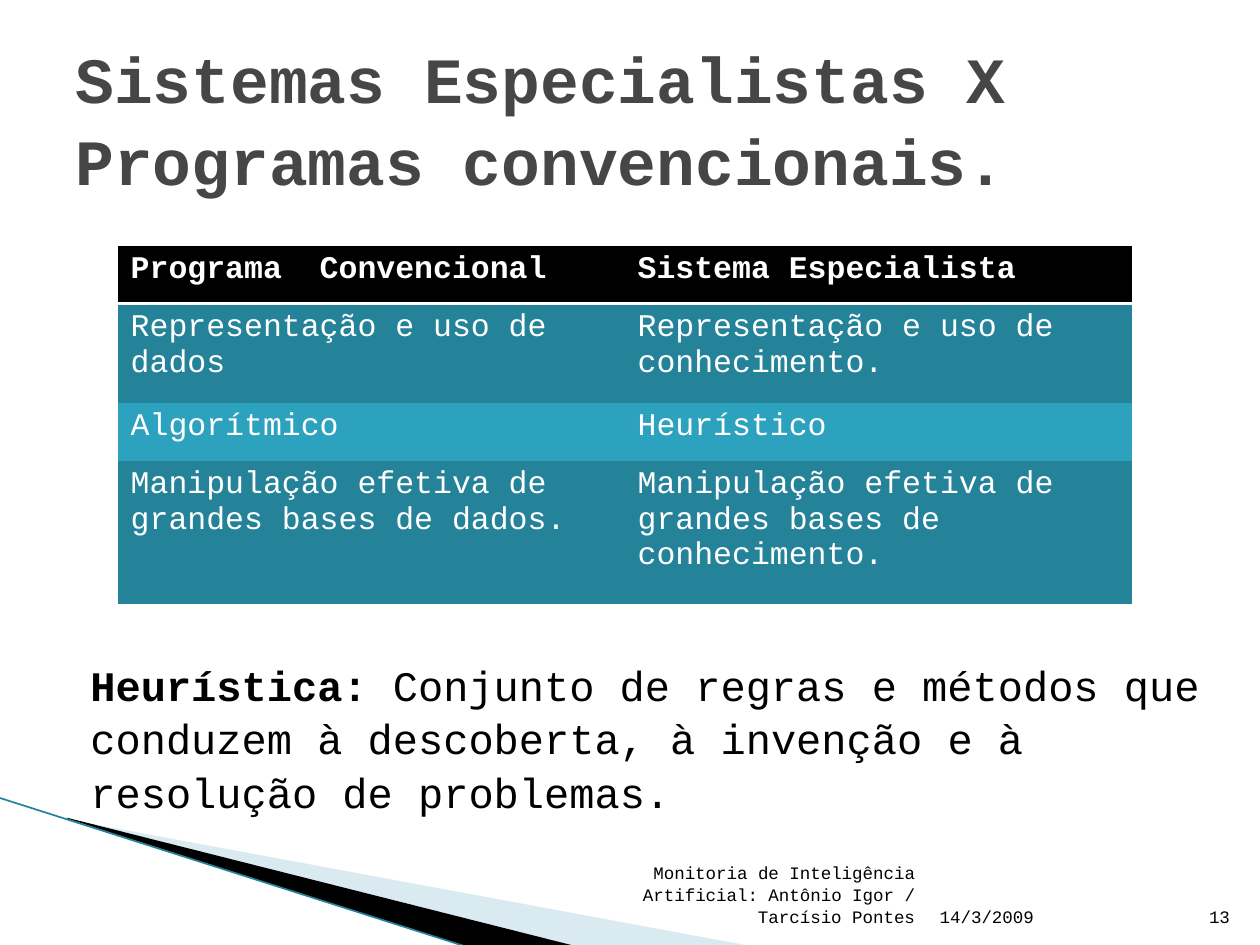
"""Build the slide comparing expert systems with conventional programs."""
from lxml import etree
from pptx import Presentation, util as u
from pptx.dml.color import RGBColor
from pptx.enum import shapes, text
from pptx.oxml import ns

Pt = u.Pt
FONT = "Courier New"
BLACK = RGBColor(0, 0, 0)
WHITE = RGBColor(255, 255, 255)
GRAY = RGBColor(0x46, 0x46, 0x46)
PALE = RGBColor(0xA0, 0xCB, 0xDC)
TEAL = RGBColor(0x24, 0x82, 0x99)
AQUA = RGBColor(0x2D, 0xA2, 0xBF)
LEFT, RIGHT = text.PP_ALIGN.LEFT, text.PP_ALIGN.RIGHT
TOP, MIDDLE, BOTTOM = text.MSO_ANCHOR.TOP, text.MSO_ANCHOR.MIDDLE, text.MSO_ANCHOR.BOTTOM

WEDGES = [
    (PALE, 40, [(39.6, 468.5), (428.4, 540.5), (328.3, 540.5), (39.6, 468)]),
    (BLACK, 100, [(38.2, 467.3), (329, 540.7), (267.8, 541.4), (38.9, 468)]),
]
EDGE = (-0.7, 455.8, 267.8, 541.4)
TEXTS = [
    ((36, 21.6, 648, 90), [("Sistemas Especialistas X Programas convencionais.", True)],
     36.9, GRAY, LEFT, MIDDLE),
    ((44.6, 371.5, 652.3, 94.3),
     [("Heurística: ", True),
      ("Conjunto de regras e métodos que conduzem à descoberta, à invenção e à "
       "resolução de problemas.", False)], 24, BLACK, LEFT, TOP),
    ((529.9, 504.7, 151.2, 28.8), [("14/3/2009", False)], 10, BLACK, LEFT, BOTTOM),
    ((681.1, 504.7, 28.8, 28.8), [("13", False)], 10, BLACK, RIGHT, BOTTOM),
    ((344.9, 504.7, 185, 28.8),
     [("Monitoria de Inteligência Artificial: Antônio Igor / Tarcísio Pontes", False)],
     10, BLACK, RIGHT, BOTTOM),
]
TABLE_BOX = (67.5, 140.5, 579.4, 205)
ROWS = [
    (33.1, BLACK, ("Programa  Convencional", "Sistema Especialista")),
    (56.7, TEAL, ("Representação e uso de dados", "Representação e uso de conhecimento.")),
    (33.1, AQUA, ("Algorítmico", "Heurístico")),
    (81.7, TEAL, ("Manipulação efetiva de grandes bases de dados.",
                  "Manipulação efetiva de grandes bases de conhecimento.")),
]
NO_STYLE = "{2D5ABB26-0587-4C30-8999-92F81FD0307C}"


def style_run(run, size, color, bold):
    run.font.name = FONT
    run.font.size = Pt(size)
    run.font.color.rgb = color
    run.font.bold = bold


def add_wedge(slide, color, opacity, points):
    builder = slide.shapes.build_freeform(Pt(points[0][0]), Pt(points[0][1]))
    builder.add_line_segments([(Pt(x), Pt(y)) for x, y in points[1:]], close=True)
    shape = builder.convert_to_shape()
    shape.shadow.inherit = False
    shape.fill.solid()
    shape.fill.fore_color.rgb = color
    shape.line.fill.background()
    if opacity < 100:
        fill_color = shape.fill._xPr.find(ns.qn("a:solidFill"))[0]
        etree.SubElement(fill_color, ns.qn("a:alpha"), val=str(opacity * 1000))


def add_edge(slide):
    line = slide.shapes.add_connector(shapes.MSO_CONNECTOR.STRAIGHT, *map(Pt, EDGE))
    line.line.color.rgb = TEAL
    line.line.width = Pt(0.95)
    etree.SubElement(line._element.spPr, ns.qn("a:effectLst"))


def add_text(slide, box, runs, size, color, align, anchor):
    frame = slide.shapes.add_textbox(*map(Pt, box)).text_frame
    frame.word_wrap = True
    frame.vertical_anchor = anchor
    paragraph = frame.paragraphs[0]
    paragraph.alignment = align
    paragraph.line_spacing = 1.06
    for words, bold in runs:
        run = paragraph.add_run()
        run.text = words
        style_run(run, size, color, bold)


def add_bottom_border(cell, color, width):
    border = etree.Element(ns.qn("a:lnB"), w=str(Pt(width)))
    fill = etree.SubElement(border, ns.qn("a:solidFill"))
    etree.SubElement(fill, ns.qn("a:srgbClr"), val=str(color))
    cell._tc.get_or_add_tcPr().insert(0, border)


def add_comparison(slide):
    table = slide.shapes.add_table(len(ROWS), 2, *map(Pt, TABLE_BOX)).table
    table._tbl.tblPr.find(ns.qn("a:tableStyleId")).text = NO_STYLE
    table.horz_banding = False
    for row_index, (height, color, labels) in enumerate(ROWS):
        table.rows[row_index].height = Pt(height)
        is_header = row_index == 0
        for column_index, label in enumerate(labels):
            cell = table.cell(row_index, column_index)
            cell.text_frame.text = label
            style_run(cell.text_frame.paragraphs[0].runs[0], 18, WHITE, is_header)
            cell.fill.solid()
            cell.fill.fore_color.rgb = color
            if is_header:
                add_bottom_border(cell, WHITE, 2)


def main():
    presentation = Presentation()
    presentation.slide_width, presentation.slide_height = Pt(720), Pt(540)
    slide = presentation.slides.add_slide(presentation.slide_layouts[6])
    for wedge in WEDGES:
        add_wedge(slide, *wedge)
    add_edge(slide)
    add_comparison(slide)
    for item in TEXTS:
        add_text(slide, *item)
    presentation.save("out.pptx")


if __name__ == "__main__":
    main()
